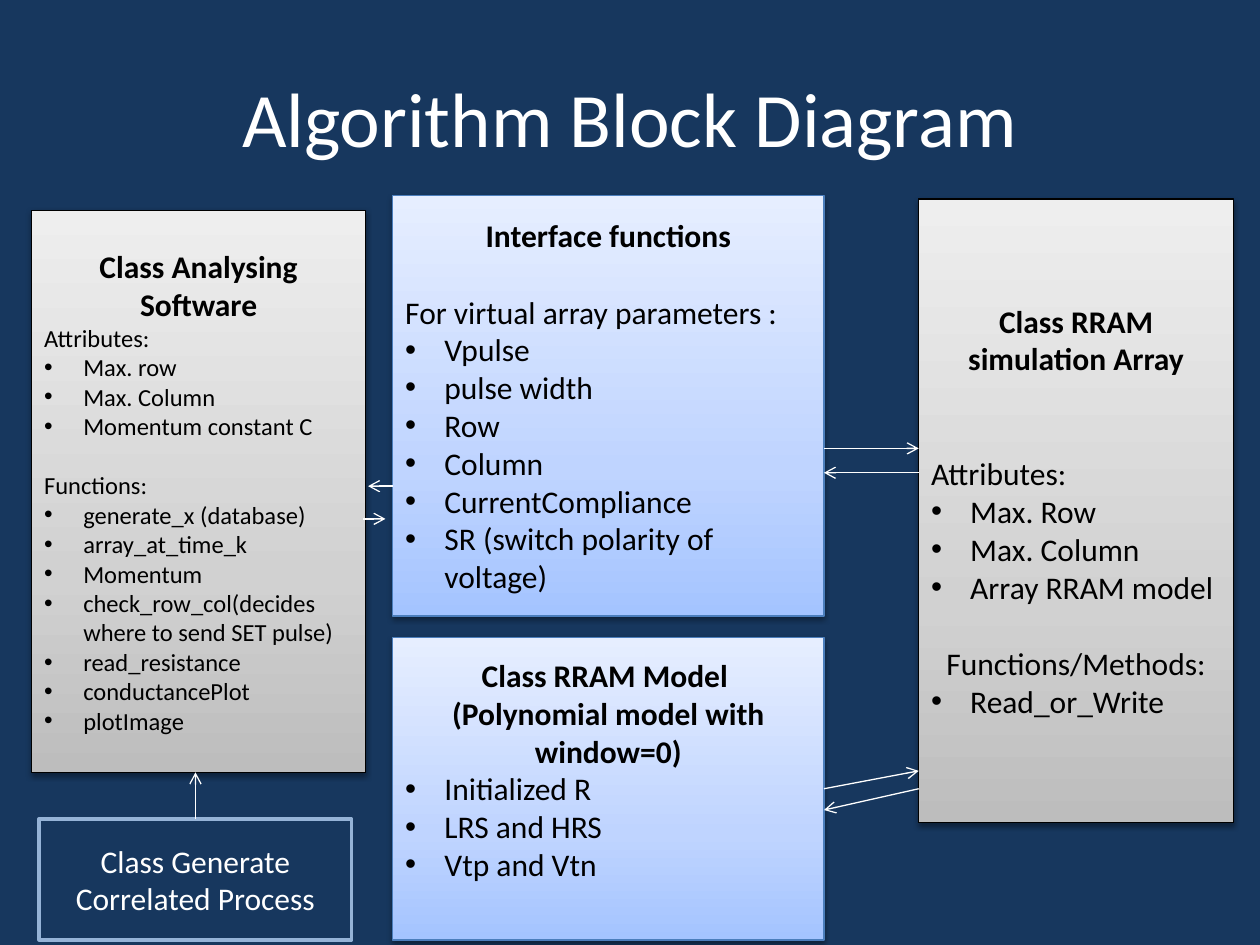
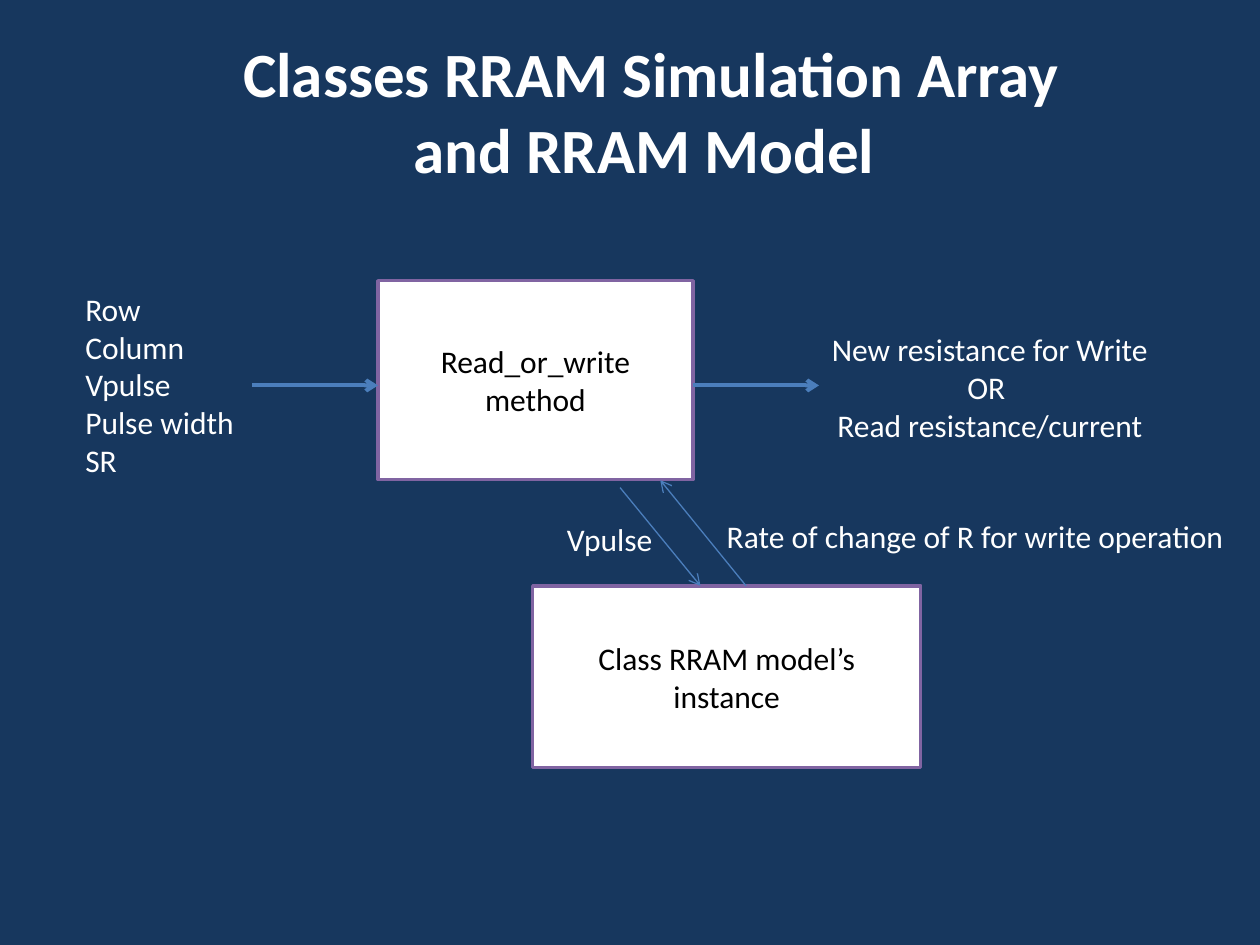
from copy import deepcopy

from lxml import etree
from pptx import Presentation
from pptx import util as u
from pptx.dml import color
from pptx.enum import shapes, text
from pptx.oxml import ns

FONT = "Calibri"
NAVY, WHITE, BLACK = "17375E", "FFFFFF", "000000"
BLUE, PALE_BLUE, PURPLE = "4B7EBC", "95B3D7", "8064A2"
GREY_CARD = (BLACK, ("BDBDBD", "D1D1D1", "EEEEEE"))
BLUE_CARD = (BLUE, ("A4C4FF", "BFD4FF", "E6EEFF"))
STOPS = (0, 0.35, 1)
LINE_HEIGHT = 1.22
LEFT, CENTER = text.PP_ALIGN.LEFT, text.PP_ALIGN.CENTER


def rgb(value):
    return color.RGBColor.from_string(value)


def add_xml(parent, tag, **attrs):
    return etree.SubElement(parent, ns.qn(tag), attrs)


def head(caption):
    return caption, "head", 0


def plain(caption, gap=0):
    return caption, "plain", gap


def bullets(*captions):
    return [(caption, "bullet", 0) for caption in captions]


class Deck:
    """Shared style and the slide being drawn."""

    def __init__(self):
        self.prs = Presentation()
        self.prs.slide_width, self.prs.slide_height = u.Cm(25.4), u.Cm(19.05)
        self.s = None

    def slide(self):
        self.s = self.prs.slides.add_slide(self.prs.slide_layouts[6])
        fill = self.s.background.fill
        fill.solid()
        fill.fore_color.rgb = rgb(NAVY)

    def style(self, p, size, ink, align=LEFT, bold=False):
        p.alignment = align
        for r in p.runs:
            r.font.name, r.font.size, r.font.bold = FONT, u.Pt(size), bold
            r.font.color.rgb = rgb(ink)

    def set_text(self, sp, caption, size, ink, align, bold=False, middle=True):
        tf = sp.text_frame
        tf.word_wrap = True
        tf.vertical_anchor = text.MSO_ANCHOR.MIDDLE if middle else text.MSO_ANCHOR.TOP
        tf.text = caption
        for p in tf.paragraphs:
            self.style(p, size, ink, align, bold)

    def title(self, caption, left, top, size, bold=False):
        sp = self.s.shapes.add_textbox(*map(u.Cm, (left, top, 22.86, 3.18)))
        self.set_text(sp, caption, size, WHITE, CENTER, bold)

    def label(self, caption, box, align=LEFT):
        sp = self.s.shapes.add_textbox(*map(u.Cm, box))
        self.set_text(sp, caption, 18, WHITE, align, middle=False)

    def rect(self, box, line, width):
        sp = self.s.shapes.add_shape(shapes.MSO_SHAPE.RECTANGLE, *map(u.Cm, box))
        sp.shadow.inherit = False
        sp.line.color.rgb = rgb(line)
        sp.line.width = u.Pt(width)
        return sp

    def box(self, caption, box, line, ink, fill=None):
        sp = self.rect(box, line, 2)
        if fill:
            sp.fill.solid()
            sp.fill.fore_color.rgb = rgb(fill)
        else:
            sp.fill.background()
        self.set_text(sp, caption, 18, ink, CENTER)

    def card(self, box, theme, paragraphs, size=18, bottom=0.13):
        line, shades = theme
        sp = self.rect(box, line, 0.75)
        self.shade(sp, shades)
        tf = sp.text_frame
        tf.margin_bottom = u.Cm(bottom)
        self.set_text(sp, "\n".join(row[0] for row in paragraphs), size, BLACK, LEFT)
        for p, (_, role, gap) in zip(tf.paragraphs, paragraphs):
            if gap:
                p.space_before = u.Pt(round(gap * size * LINE_HEIGHT))
            if role == "head":
                self.style(p, 18, BLACK, CENTER, True)
            elif role == "center":
                p.alignment = CENTER
            elif role == "bullet":
                self.bullet(p)

    def shade(self, sp, shades):
        sp.fill.gradient()
        sp.fill.gradient_angle = 90
        spPr = sp._element.spPr
        stops = spPr.find(".//" + ns.qn("a:gsLst"))
        stops.append(deepcopy(stops[0]))
        for stop, position, shade in zip(sp.fill.gradient_stops, STOPS, shades):
            stop.position = position
            stop.color.rgb = rgb(shade)
        shadow = add_xml(spPr.find(ns.qn("a:effectLst")), "a:outerShdw",
                         blurRad=str(u.Pt(3.1)), dist=str(u.Pt(1.6)),
                         dir="5400000", rotWithShape="0")
        ink = add_xml(shadow, "a:srgbClr", val=BLACK)
        add_xml(ink, "a:alpha", val="38000")

    def bullet(self, p):
        pPr = p._p.get_or_add_pPr()
        indent = u.Cm(0.79)
        pPr.set("marL", str(indent))
        pPr.set("indent", str(-indent))
        add_xml(pPr, "a:buFont", typeface="Arial")
        add_xml(pPr, "a:buChar", char="•")

    def arrow(self, x1, y1, x2, y2, ink=WHITE, width=0.75):
        sp = self.s.shapes.add_connector(
            shapes.MSO_CONNECTOR.STRAIGHT, *map(u.Cm, (x1, y1, x2, y2)))
        sp.line.color.rgb = rgb(ink)
        sp.line.width = u.Pt(width)
        add_xml(sp.line._get_or_add_ln(), "a:tailEnd", type="arrow")
        add_xml(sp._element.spPr, "a:effectLst")


def block_diagram(deck):
    deck.slide()
    deck.title("Algorithm Block Diagram", 1.27, 0.76, 44)
    deck.card((18.52, 4.01, 6.35, 12.57), GREY_CARD, [
        head("Class RRAM simulation Array"),
        plain("Attributes:", gap=2),
        *bullets("Max. Row", "Max. Column", "Array RRAM model"),
        ("Functions/Methods:", "center", 1),
        *bullets("Read_or_Write"),
    ])
    deck.card((0.64, 4.24, 6.73, 11.33), GREY_CARD, [
        head("Class Analysing Software"),
        plain("Attributes:"),
        *bullets("Max. row", "Max. Column", "Momentum constant C"),
        plain("Functions:", gap=1),
        *bullets("generate_x (database)", "array_at_time_k", "Momentum",
                 "check_row_col(decides where to send SET pulse)",
                 "read_resistance", "conductancePlot", "plotImage"),
    ], size=14)
    deck.card((7.92, 3.94, 8.69, 8.48), BLUE_CARD, [
        head("Interface functions"),
        plain("For virtual array parameters :", gap=1),
        *bullets("Vpulse", "pulse width", "Row", "Column", "CurrentCompliance",
                 "SR (switch polarity of voltage)"),
    ])
    deck.card((7.92, 12.85, 8.69, 6.1), BLUE_CARD, [
        head("Class RRAM Model "),
        head("(Polynomial model with window=0)"),
        *bullets("Initialized R", "LRS and HRS", "Vtp and Vtn"),
    ], bottom=0.9)
    deck.box("Class Generate Correlated Process", (0.79, 16.51, 6.3, 2.44),
             PALE_BLUE, WHITE)
    middle_edge, array_edge = 16.61, 18.52
    for out_y, in_y in ((9.04, 9.04), (15.9, 15.54)):
        deck.arrow(middle_edge, out_y, array_edge, in_y)
    for out_y, in_y in ((9.53, 9.53), (15.9, 16.33)):
        deck.arrow(array_edge, out_y, middle_edge, in_y)
    deck.arrow(7.32, 10.46, 7.77, 10.46)
    deck.arrow(7.92, 9.8, 7.42, 9.8)
    deck.arrow(3.94, 16.51, 3.94, 15.57)


def array_and_model(deck):
    deck.slide()
    deck.title("Classes RRAM Simulation Array\vand RRAM Model ", 1.7, 0.64, 36, True)
    deck.box("Read_or_write method", (7.62, 5.66, 6.35, 4.01), PURPLE, BLACK, WHITE)
    deck.box("Class RRAM model’s instance", (10.74, 11.81, 7.82, 3.66),
             PURPLE, BLACK, WHITE)
    deck.label("Row\nColumn\nVpulse\nPulse width\nSR", (1.47, 5.72, 4.45, 4.11))
    deck.label("New resistance for Write\nOR \nRead resistance/current",
               (16.36, 6.53, 7.19, 2.57), CENTER)
    deck.label("Vpulse", (11.18, 10.36, 2.79, 1.02))
    deck.label("Rate of change of R for write operation", (14.4, 10.29, 10.9, 1.02))
    for x in (5.08, 13.97):
        deck.arrow(x, 7.77, x + 2.54, 7.77, BLUE, 2.25)
    deck.arrow(12.5, 9.83, 14.12, 11.81, BLUE)
    deck.arrow(15.04, 11.81, 13.31, 9.68, BLUE)


def main():
    deck = Deck()
    block_diagram(deck)
    array_and_model(deck)
    deck.prs.save("out.pptx")


if __name__ == "__main__":
    main()
